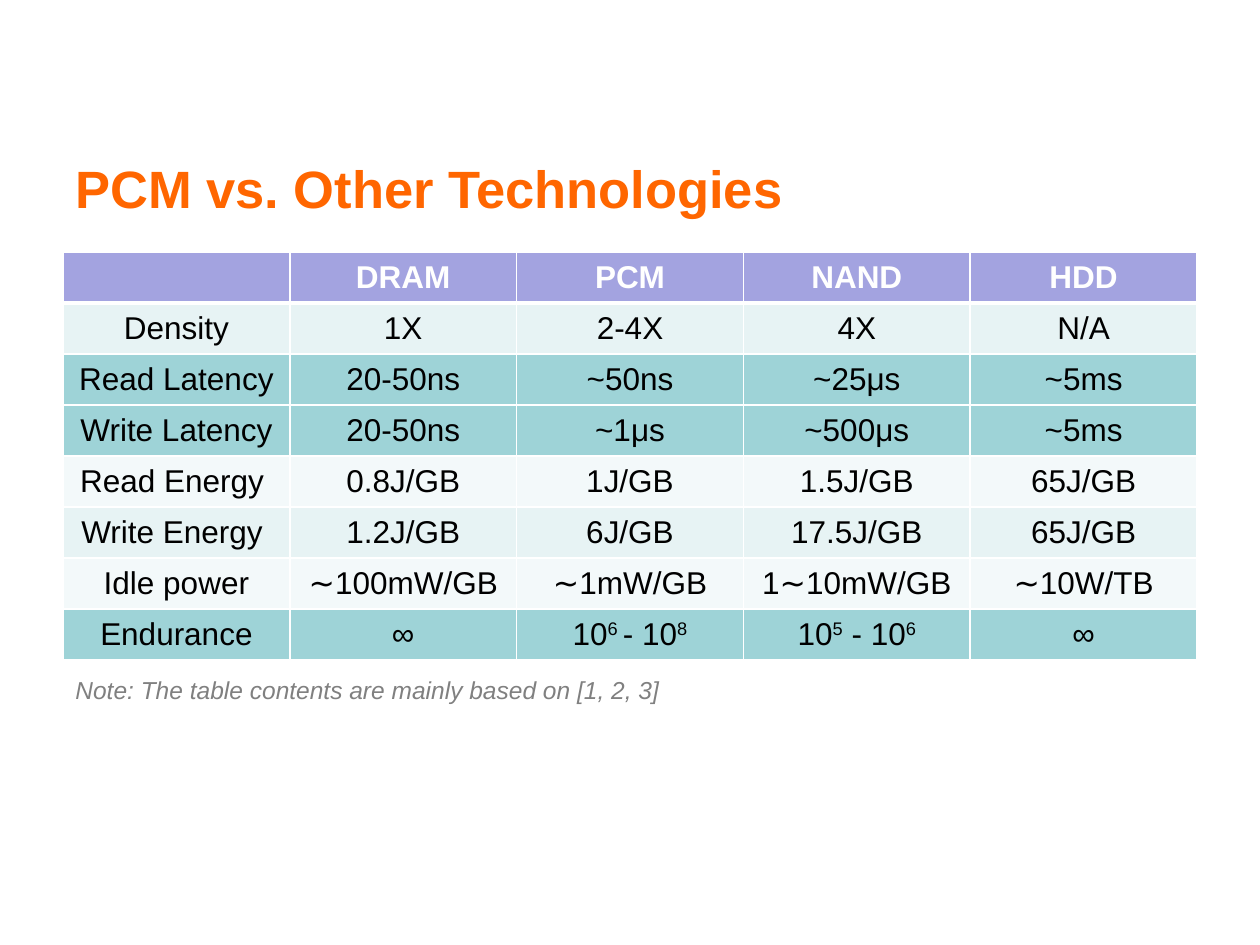
from lxml.etree import SubElement
from pptx import Presentation
from pptx.dml.color import RGBColor
from pptx.enum.text import MSO_ANCHOR, PP_ALIGN
from pptx.oxml.ns import qn
from pptx.util import Inches, Pt

ORANGE = RGBColor(0xFF, 0x66, 0x00)
GRAY = RGBColor(0x80, 0x80, 0x80)
BLACK = RGBColor(0x00, 0x00, 0x00)
WHITE = RGBColor(0xFF, 0xFF, 0xFF)
LAVENDER = RGBColor(0xA3, 0xA3, 0xE0)
TEAL = RGBColor(0x9E, 0xD3, 0xD7)
PALE = RGBColor(0xE7, 0xF3, 0xF4)
PALEST = RGBColor(0xF3, 0xF9, 0xFA)

TITLE = "PCM vs. Other Technologies "
NOTE = "Note: The table contents are mainly based on [1, 2, 3] "
# Text between a pair of carets is raised.
ROWS = [
    (LAVENDER, ["", "DRAM", "PCM", "NAND", "HDD"]),
    (PALE, ["Density", "1X", "2-4X", "4X", "N/A"]),
    (TEAL, ["Read Latency", "20-50ns", "~50ns", "~25μs", "~5ms"]),
    (TEAL, ["Write Latency", "20-50ns", "~1μs", "~500μs", "~5ms"]),
    (PALEST, ["Read Energy ", "0.8J/GB", "1J/GB", "1.5J/GB", "65J/GB"]),
    (PALE, ["Write Energy ", "1.2J/GB", "6J/GB", "17.5J/GB", "65J/GB"]),
    (PALEST, ["Idle power", "∼100mW/GB", "∼1mW/GB", "1∼10mW/GB", "∼10W/TB"]),
    (TEAL, ["Endurance", "∞", "10^6 ^- 10^8^", "10^5^ - 10^6^", "∞"]),
]


def add_runs(para, text, size, color, bold=False, italic=False):
    """Add text to a paragraph, raising the parts between carets."""
    for index, part in enumerate(text.split("^")):
        if not part:
            continue
        span = para.add_run()
        span.text = part
        font = span.font
        font.name, font.size = "Arial", Pt(size)
        font.bold, font.italic = bold, italic
        font.color.rgb = color
        if index % 2:
            span._r.get_or_add_rPr().set("baseline", "30000")


def add_text(page, place, text, anchor, **style):
    """Add a wrapping text box; place is left, top, width, height in inches."""
    box = page.shapes.add_textbox(*map(Inches, place))
    frame = box.text_frame
    frame.word_wrap = True
    frame.vertical_anchor = anchor
    add_runs(frame.paragraphs[0], text, **style)


def set_borders(cell, top, bottom):
    """Draw white cell borders, one point wide at the sides."""
    properties = cell._tc.get_or_add_tcPr()
    for side, width in (("L", 1), ("R", 1), ("T", top), ("B", bottom)):
        line = SubElement(properties, qn(f"a:ln{side}"), w=str(Pt(width)))
        fill = SubElement(line, qn("a:solidFill"))
        SubElement(fill, qn("a:srgbClr"), val=str(WHITE))


def add_comparison(page):
    """Add the table with equal columns and equal rows."""
    frame = page.shapes.add_table(len(ROWS), len(ROWS[0][1]), Inches(0.5),
                                  Inches(2), Inches(9), Inches(3.24))
    for row, (color, texts) in enumerate(ROWS):
        header = row == 0
        for column, text in enumerate(texts):
            cell = frame.table.cell(row, column)
            set_borders(cell, top=3 if row == 1 else 1, bottom=3 if header else 1)
            cell.fill.solid()
            cell.fill.fore_color.rgb = color
            cell.vertical_anchor = MSO_ANCHOR.MIDDLE
            para = cell.text_frame.paragraphs[0]
            para.alignment = PP_ALIGN.CENTER
            add_runs(para, text, 18, WHITE if header else BLACK, bold=header)


deck = Presentation()
deck.slide_width, deck.slide_height = Inches(10), Inches(7.5)
page = deck.slides.add_slide(deck.slide_layouts[6])
add_text(page, (0.5, 1.06, 9, 0.86), TITLE, MSO_ANCHOR.MIDDLE,
         size=30, color=ORANGE, bold=True)
add_comparison(page)
add_text(page, (0.5, 5.31, 6.5, 0.34), NOTE, MSO_ANCHOR.TOP,
         size=14, color=GRAY, italic=True)
deck.save("out.pptx")
